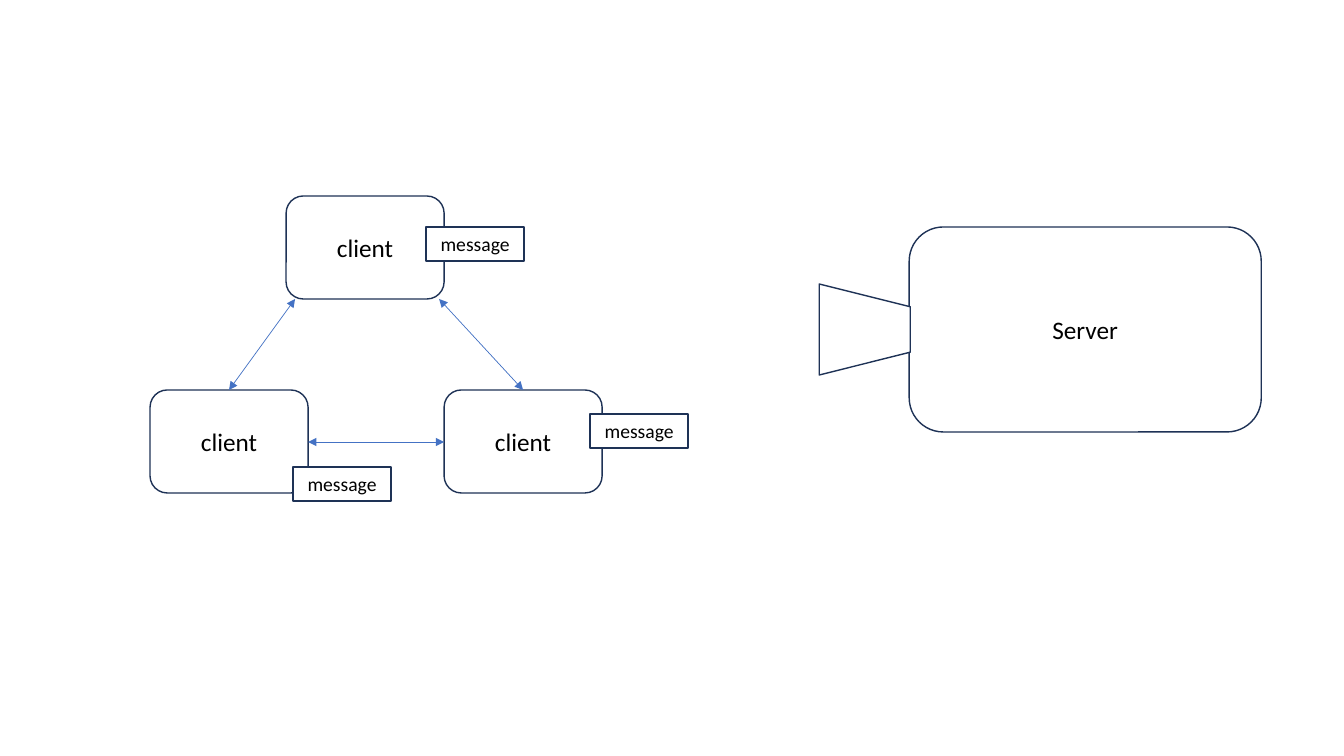
from pptx import Presentation, util as u
from pptx.dml.color import RGBColor
from pptx.enum import shapes, text
from lxml import etree

NAVY = RGBColor(0x1E, 0x32, 0x56)
BLUE = RGBColor(0x44, 0x72, 0xC4)
WHITE = RGBColor(255, 255, 255)
BLACK = RGBColor(0, 0, 0)
FONT = "Calibri"
SCALE = u.Inches(1) / 100.8

CLIENTS = [(286, 196), (150, 390), (444, 390)]
LINKS = [((229, 390), (295, 299)), ((439, 299), (523, 390)), ((308, 442), (444, 442))]
SERVER = (909, 227, 352, 205)
FUNNEL = (819, 284, 91, 91)
NOTES = [(590, 414), (293, 467), (426, 227)]
CLIENT_SIZE = (158, 103)
NOTE_SIZE = (98, 34)

ROUND = shapes.MSO_SHAPE.ROUNDED_RECTANGLE
RECT = shapes.MSO_SHAPE.RECTANGLE
TRAP = shapes.MSO_SHAPE.TRAPEZOID


def emu(*vals):
    return [u.Emu(round(v * SCALE)) for v in vals]


def box(kind, area, label="", size=18):
    shape = slide.shapes.add_shape(kind, *emu(*area))
    shape.shadow.inherit = False
    shape.fill.solid()
    shape.fill.fore_color.rgb = WHITE
    shape.line.color.rgb = NAVY
    shape.line.width = u.Pt(1)
    if label:
        frame = shape.text_frame
        frame.word_wrap = True
        frame.vertical_anchor = text.MSO_ANCHOR.MIDDLE
        para = frame.paragraphs[0]
        para.alignment = text.PP_ALIGN.CENTER
        run = para.add_run()
        run.text = label
        run.font.name = FONT
        run.font.size = u.Pt(size)
        run.font.color.rgb = BLACK
    return shape


def link(start, end):
    line = slide.shapes.add_connector(shapes.MSO_CONNECTOR.STRAIGHT, *emu(*start, *end))
    line.line.color.rgb = BLUE
    line.line.width = u.Pt(0.5)
    props = line.line._get_or_add_ln()
    space = "{" + props.nsmap["a"] + "}"
    for end_tag in ("headEnd", "tailEnd"):
        etree.SubElement(props, space + end_tag, type="triangle")
    etree.SubElement(props.getparent(), space + "effectLst")


deck = Presentation()
deck.slide_width, deck.slide_height = u.Inches(13.33), u.Inches(7.5)
slide = deck.slides.add_slide(deck.slide_layouts[6])

for spot in CLIENTS:
    box(ROUND, spot + CLIENT_SIZE, "client")
for start, end in LINKS:
    link(start, end)
box(ROUND, SERVER, "Server")
box(TRAP, FUNNEL).rotation = 90
for spot in NOTES:
    box(RECT, spot + NOTE_SIZE, "message", 14)

deck.save("out.pptx")
